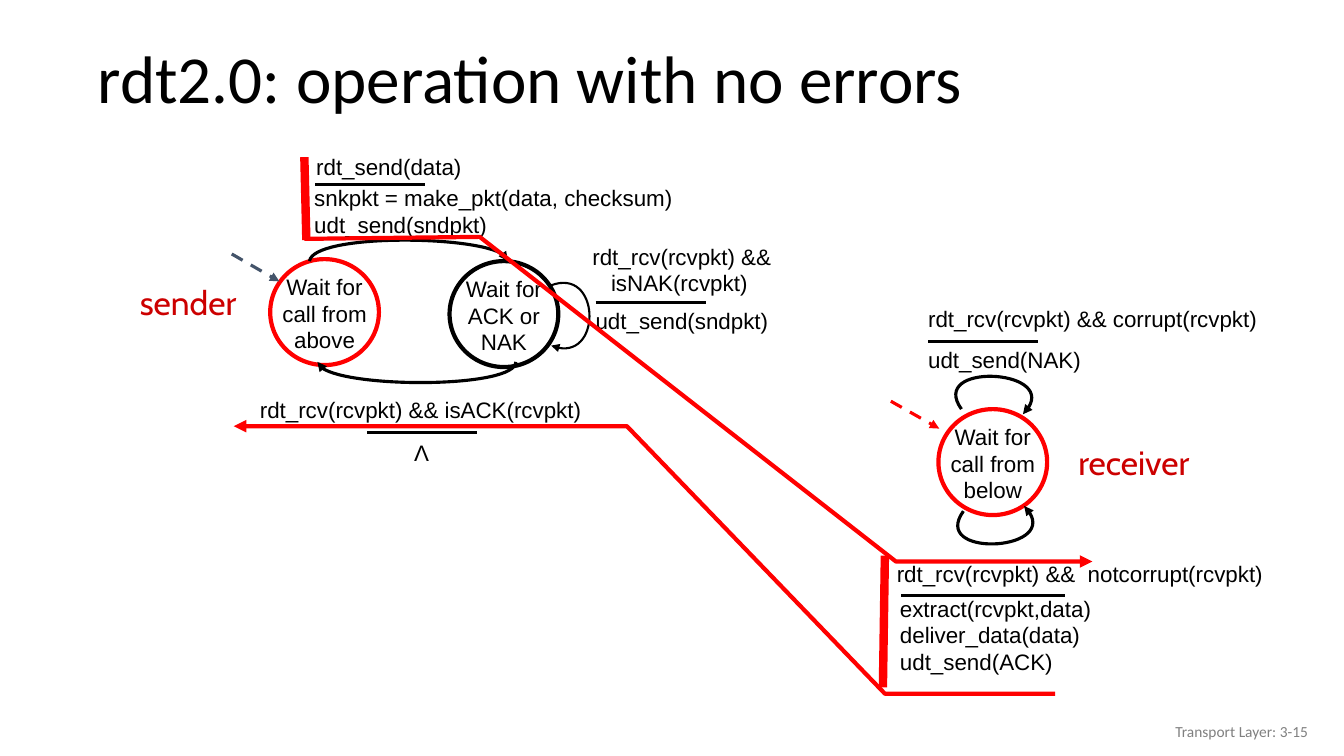
"""Builds the slide on rdt2.0 operation with no errors."""
from dataclasses import dataclass

from lxml import etree
from pptx import Presentation
from pptx.dml.color import RGBColor
from pptx.enum.dml import MSO_LINE
from pptx.enum.shapes import MSO_CONNECTOR, MSO_SHAPE
from pptx.enum.text import MSO_ANCHOR, MSO_AUTO_SIZE, PP_ALIGN
from pptx.oxml.ns import qn
from pptx.util import Cm, Pt

LEFT, CENTER, RIGHT = PP_ALIGN.LEFT, PP_ALIGN.CENTER, PP_ALIGN.RIGHT
TOP, MIDDLE = MSO_ANCHOR.TOP, MSO_ANCHOR.MIDDLE
NO_FIT = MSO_AUTO_SIZE.NONE
STRAIGHT, OVAL, DASH = MSO_CONNECTOR.STRAIGHT, MSO_SHAPE.OVAL, MSO_LINE.DASH


@dataclass(frozen=True)
class Theme:
    black: str = "000000"
    white: str = "FFFFFF"
    red: str = "FF0000"
    role: str = "CC0000"
    slate: str = "44546A"
    gray: str = "808080"
    title_font: str = "Calibri"
    code_font: str = "Arial"
    role_font: str = "Cabin"
    title_size: int = 48
    role_size: int = 24
    code_size: int = 16
    footer_size: int = 11
    loop_width: float = 1.5
    line_width: float = 2.25
    route_width: float = 3
    bar_width: float = 6


T = Theme()

TITLE = "rdt2.0: operation with no errors"
TITLE_BOX = (2.21, 0.81, 30.84, 2.49)
FOOTER = "Transport Layer: 3-15"
FOOTER_BOX = (25.6, 17.91, 7.62, 1.02)

STATE_W, STATE_H = 2.74, 2.67
LABEL_W, LABEL_H, LABEL_DROP = 3.0, 1.7, 0.22
STATES = [
    ("Wait for call from above", 6.81, 6.53, T.red),
    ("Wait for ACK or NAK", 11.33, 6.58, T.black),
    ("Wait for call from below", 23.65, 10.31, T.red),
]
CODE = [
    (["rdt_send(data)"], (7.72, 3.73, 6.27, 1.19)),
    (["snkpkt = make_pkt(data, checksum)", "udt_send(sndpkt)"], (7.67, 4.52, 10.11, 1.12)),
    (["udt_send(sndpkt)"], (14.76, 7.62, 4.9, 1.12)),
    (["rdt_rcv(rcvpkt) && isACK(rcvpkt)"], (6.3, 9.86, 9.86, 0.79)),
    (["Λ"], (10.19, 10.95, 0.89, 0.94)),
    (["rdt_rcv(rcvpkt) && corrupt(rcvpkt)"], (23.14, 7.57, 9.42, 0.86)),
    (["udt_send(NAK)"], (23.14, 8.59, 5.08, 0.71)),
    (["rdt_rcv(rcvpkt) &&  notcorrupt(rcvpkt)"], (22.35, 14.0, 11.51, 1.96)),
    (["extract(rcvpkt,data)", "deliver_data(data)", "udt_send(ACK)"], (22.43, 14.86, 5.94, 1.73)),
]
NAK_EVENT = (["rdt_rcv(rcvpkt) &&", "isNAK(rcvpkt)"], (14.68, 5.99, 5.79, 1.75))
NAK_INDENT = 0.47
ROLES = [
    ("sender", (3.23, 6.98, 3.02, 1.27)),
    ("receiver", (26.85, 11.0, 3.45, 1.27)),
]
RULES = [
    (7.95, 4.65, 2.77),
    (15.01, 7.62, 2.77),
    (9.25, 10.9, 2.77),
    (23.39, 8.61, 2.77),
    (22.71, 15.01, 4.14),
]
BARS = [
    ((7.67, 3.96), (7.72, 6.05)),
    ((22.3, 14.0), (22.25, 17.32)),
]
ENTRIES = [
    ((5.84, 6.4), (7.04, 7.09), T.slate),
    ((22.45, 10.11), (23.67, 10.8), T.red),
]
TRANSITIONS = [
    ([(7.8, 6.58), (7.9, 5.89), (12.8, 5.92), (12.8, 6.58)], T.line_width),
    ([(13.0, 9.12), (13.0, 9.78), (8.1, 9.8), (8.0, 9.12)], T.line_width),
    ([(13.89, 7.19), (15.11, 6.73), (15.19, 9.22), (13.89, 8.71)], T.loop_width),
    ([(24.23, 10.31), (23.39, 9.14), (26.9, 9.3), (25.78, 10.44)], T.line_width),
    ([(24.28, 12.88), (23.44, 14.05), (26.92, 13.89), (25.81, 12.75)], T.line_width),
]
ROUTES = [
    [(7.67, 6.02), (12.09, 5.97), (22.58, 14.15), (27.53, 14.15)],
    [(26.59, 17.48), (22.3, 17.48), (15.8, 10.74), (5.89, 10.74)],
]


def cm(values):
    """Turn numbers into centimetre lengths."""
    return [Cm(v) for v in values]


def write(tf, lines, font=T.code_font, size=T.code_size, color=T.black,
          align=LEFT, anchor=TOP, wrap=True, spacing=None):
    """Fill a text frame with one formatted paragraph per line."""
    tf.word_wrap, tf.vertical_anchor, tf.auto_size = wrap, anchor, NO_FIT
    for i, line in enumerate(lines):
        p = tf.add_paragraph() if i else tf.paragraphs[0]
        p.alignment, p.line_spacing = align, spacing
        r = p.add_run()
        r.text = line
        r.font.name, r.font.size = font, Pt(size)
        r.font.color.rgb = RGBColor.from_string(color)
    return tf


def add_text(s, lines, box, **fmt):
    """Add a text box and return its text frame."""
    return write(s.shapes.add_textbox(*cm(box)).text_frame, lines, **fmt)


def style_line(line, color, width, arrow=False):
    """Colour a line and optionally end it with an arrowhead."""
    line.color.rgb = RGBColor.from_string(color)
    line.width = Pt(width)
    if arrow:
        etree.SubElement(line._get_or_add_ln(), qn("a:tailEnd"), type="triangle")


def add_line(s, start, end, color, width, dashed=False):
    """Add a straight line; a dashed one carries an arrowhead."""
    c = s.shapes.add_connector(STRAIGHT, *cm(start + end))
    if dashed:
        c.line.dash_style = DASH
    style_line(c.line, color, width, arrow=dashed)
    etree.SubElement(c._element.spPr, qn("a:effectLst"))


def add_arrow(s, points, color, width, curved=False):
    """Add an open arrow through points, or a Bézier curve they control."""
    start, *rest = [cm(pt) for pt in points]
    fb = s.shapes.build_freeform(*start)
    fb.add_line_segments(rest, close=False)
    sp = fb.convert_to_shape()
    sp.shadow.inherit = False
    sp.fill.background()
    style_line(sp.line, color, width, arrow=True)
    if curved:
        segments = list(sp._element.iter(qn("a:lnTo")))
        curve = etree.SubElement(segments[0].getparent(), qn("a:cubicBezTo"))
        for seg in segments:
            curve.append(seg[0])
            seg.getparent().remove(seg)


def add_state(s, label, x, y, color):
    """Add a state circle with its centred label."""
    sp = s.shapes.add_shape(OVAL, *cm((x, y, STATE_W, STATE_H)))
    sp.shadow.inherit = False
    sp.fill.solid()
    sp.fill.fore_color.rgb = RGBColor.from_string(T.white)
    style_line(sp.line, color, T.route_width)
    box = (x + (STATE_W - LABEL_W) / 2, y + LABEL_DROP, LABEL_W, LABEL_H)
    add_text(s, [label], box, align=CENTER)


def main():
    """Build and save the slide."""
    prs = Presentation()
    prs.slide_width, prs.slide_height = Cm(33.87), Cm(19.05)
    s = prs.slides.add_slide(prs.slide_layouts[5])
    title = s.shapes.title
    title.left, title.top, title.width, title.height = cm(TITLE_BOX)
    write(title.text_frame, [TITLE], font=T.title_font, size=T.title_size,
          anchor=MIDDLE, spacing=0.9)
    for state in STATES:
        add_state(s, *state)
    for lines, box in CODE:
        add_text(s, lines, box, wrap=len(lines[0]) > 1)
    tf = add_text(s, *NAK_EVENT)
    tf.paragraphs[1]._p.get_or_add_pPr().set("marL", str(Cm(NAK_INDENT)))
    for role, box in ROLES:
        add_text(s, [role], box, font=T.role_font, size=T.role_size,
                 color=T.role, align=CENTER, wrap=False)
    for x, y, length in RULES:
        add_line(s, (x, y), (x + length, y), T.black, T.line_width)
    for points, width in TRANSITIONS:
        add_arrow(s, points, T.black, width, curved=True)
    for start, end, color in ENTRIES:
        add_line(s, start, end, color, T.line_width, dashed=True)
    for start, end in BARS:
        add_line(s, start, end, T.red, T.bar_width)
    for points in ROUTES:
        add_arrow(s, points, T.red, T.route_width)
    add_text(s, [FOOTER], FOOTER_BOX, font=T.title_font, size=T.footer_size,
             color=T.gray, align=RIGHT, anchor=MIDDLE)
    prs.save("out.pptx")


if __name__ == "__main__":
    main()
